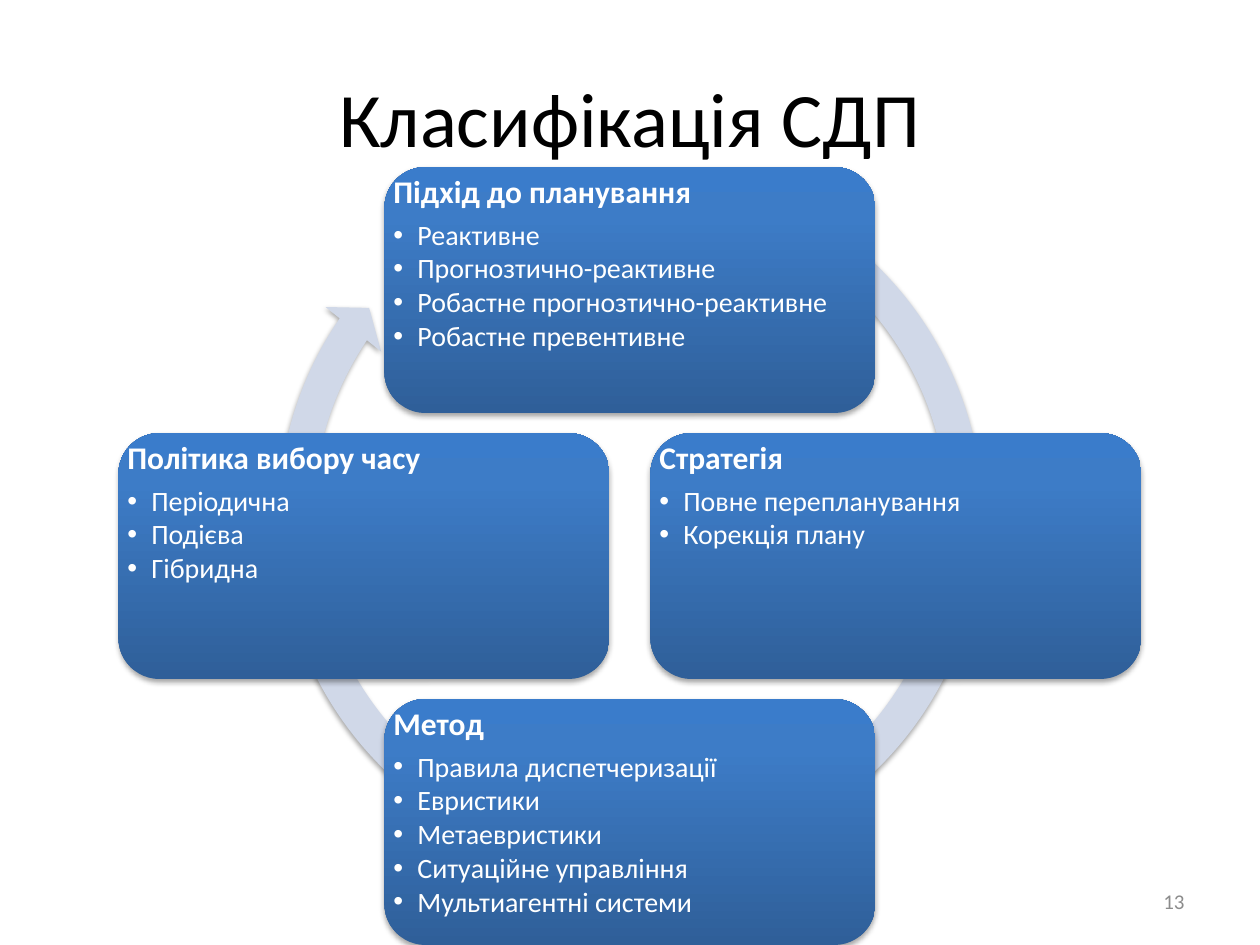
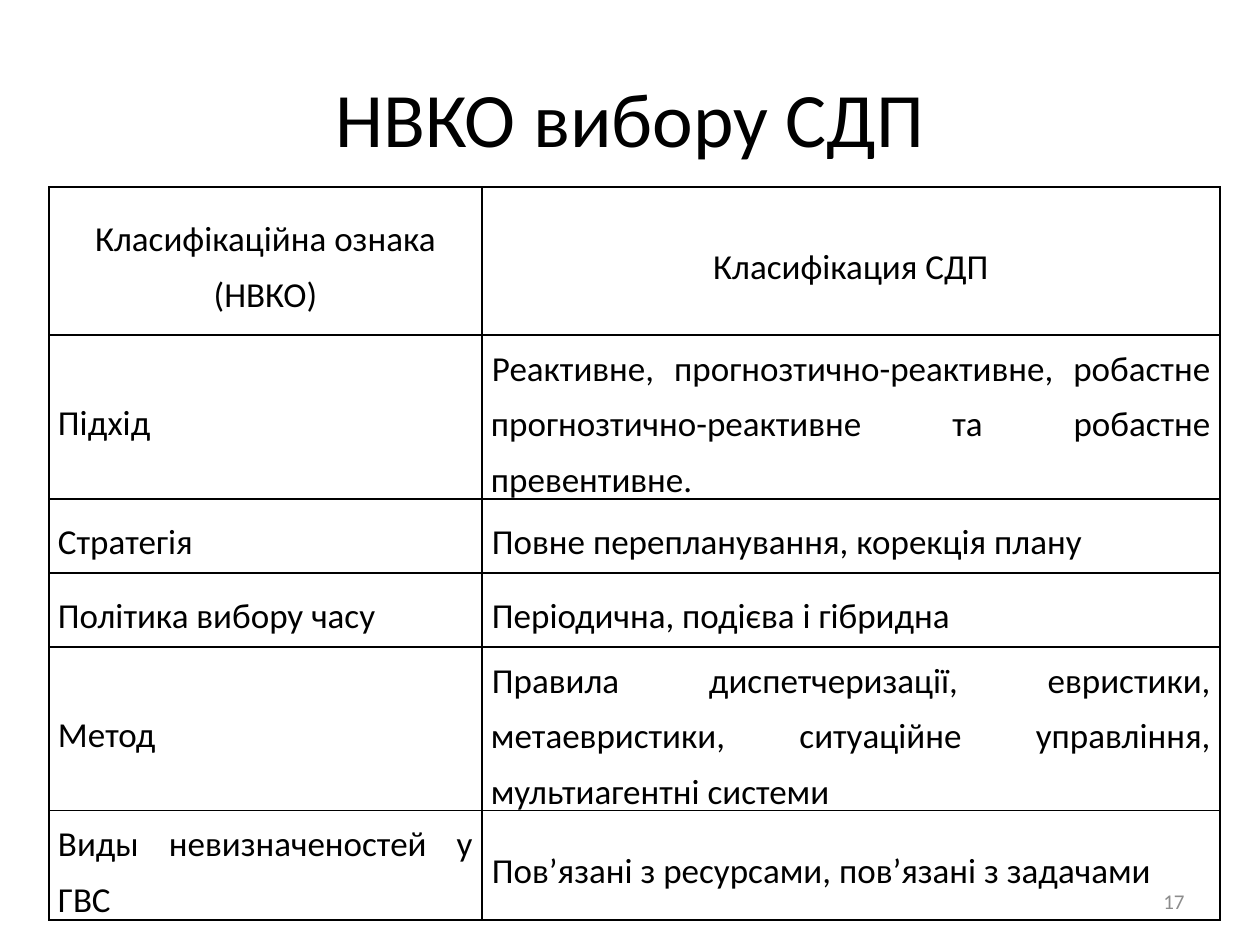
from lxml.etree import SubElement
from pptx import Presentation
from pptx.dml.color import RGBColor
from pptx.enum.shapes import MSO_SHAPE
from pptx.enum.text import MSO_ANCHOR, PP_ALIGN
from pptx.oxml.ns import qn
from pptx.util import Emu, Pt

FONT = "Calibri"
BLACK, WHITE, GREY = "000000", "FFFFFF", "8C8C8C"
RING_COLOR = "D0D8E8"
CARD_GRADIENT = [(0, "2F5F99"), (80, "3D7CC7"), (100, "3A7CCB")]

# Clockwise from the top; the direction is counted in steps from the centre.
CYCLE_TITLE, CYCLE_NUMBER = "Класифікація СДП", "13"
CYCLE = [
    ((0, -1), "Підхід до планування",
     ["Реактивне", "Прогнозтично-реактивне",
      "Робастне прогнозтично-реактивне", "Робастне превентивне"]),
    ((1, 0), "Стратегія", ["Повне перепланування", "Корекція плану"]),
    ((0, 1), "Метод",
     ["Правила диспетчеризації", "Евристики", "Метаевристики",
      "Ситуаційне управління", "Мультиагентні системи"]),
    ((-1, 0), "Політика вибору часу", ["Періодична", "Подієва", "Гібридна"]),
]
CYCLE_CENTER, CYCLE_STEP = (630, 556), 266
CARD_SIZE = (491, 246)
RING_BOX = (260, 147, 741, 741)
RING_ADJUSTMENTS = (0.047, 2.729, 128.506, 180.178, 0.048)

CRITERIA_TITLE, CRITERIA_NUMBER = "НВКО вибору СДП", "17"
CRITERIA = [
    ("Класифікаційна ознака (НВКО)", "Класифікация СДП"),
    ("Підхід", "Реактивне, прогнозтично-реактивне, робастне "
               "прогнозтично-реактивне та робастне превентивне."),
    ("Стратегія", "Повне перепланування, корекція плану"),
    ("Політика вибору часу", "Періодична, подієва і гібридна"),
    ("Метод", "Правила диспетчеризації, евристики, метаевристики, "
              "ситуаційне управління, мультиагентні системи"),
    ("Виды невизначеностей у ГВС",
     "Пов’язані з ресурсами, пов’язані з задачами"),
]
CRITERIA_ORIGIN = (49, 187)
CRITERIA_WIDTHS = (433, 738)
CRITERIA_HEIGHTS = (148, 148, 74, 74, 148, 74)

TITLE_BOX = (63, 38, 1134, 157)
NUMBER_BOX = (903, 876, 294, 50)


def px(length):
    return Emu(round(length * 914400 / 126))


def rgb(color):
    return RGBColor.from_string(color)


def write(frame, text, size, color=BLACK, bold=False, align=PP_ALIGN.LEFT,
          line_spacing=None, space_after=0, margin=0, indent=0, bullet=None):
    """Fill the empty first paragraph of a frame, or add one below."""
    paragraph = frame.add_paragraph() if frame.text else frame.paragraphs[0]
    paragraph.alignment = align
    paragraph.line_spacing = line_spacing
    paragraph.space_after = Pt(space_after)
    properties = paragraph._p.get_or_add_pPr()
    properties.set("marL", str(px(margin)))
    properties.set("indent", str(px(indent)))
    if bullet:
        SubElement(properties, qn("a:buFont"), typeface="Arial")
        SubElement(properties, qn("a:buChar"), char=bullet)
    run = paragraph.add_run()
    run.text = text
    run.font.name, run.font.size, run.font.bold = FONT, Pt(size), bold
    run.font.color.rgb = rgb(color)


def add_frame(slide, box, anchor=MSO_ANCHOR.TOP, inset=None):
    frame = slide.shapes.add_textbox(*map(px, box)).text_frame
    frame.word_wrap = True
    frame.vertical_anchor = anchor
    if inset is not None:
        frame.margin_left = frame.margin_right = px(inset)
        frame.margin_top = frame.margin_bottom = px(inset)
    return frame


def add_titled_slide(deck, title):
    slide = deck.slides.add_slide(deck.slide_layouts[6])
    write(add_frame(slide, TITLE_BOX, MSO_ANCHOR.MIDDLE), title, 44,
          align=PP_ALIGN.CENTER)
    return slide


def add_number(slide, number):
    write(add_frame(slide, NUMBER_BOX, MSO_ANCHOR.MIDDLE), number, 12,
          color=GREY, align=PP_ALIGN.RIGHT)


def add_shadowed(slide, preset, box):
    """Add a shape without outline that casts a soft shadow downwards."""
    shape = slide.shapes.add_shape(preset, *map(px, box))
    shape.line.fill.background()
    shape.shadow.inherit = False
    effects = shape._element.spPr.find(qn("a:effectLst"))
    shadow = SubElement(effects, qn("a:outerShdw"), blurRad=str(Pt(3.1)),
                        dist=str(Pt(1.8)), dir="5400000", rotWithShape="0")
    tint = SubElement(shadow, qn("a:srgbClr"), val=BLACK)
    SubElement(tint, qn("a:alpha"), val="35000")
    return shape


def fill_upwards(shape, stops):
    """Fill with a gradient whose first stop lies at the bottom."""
    shape.fill.gradient()
    shape.fill.gradient_angle = 90
    stop_list = next(shape._element.spPr.iter(qn("a:gsLst")))
    stop_list.clear()
    for percent, color in stops:
        stop = SubElement(stop_list, qn("a:gs"), pos=str(percent * 1000))
        SubElement(stop, qn("a:srgbClr"), val=color)


def add_card(slide, direction, heading, items):
    left, top = (center + CYCLE_STEP * step - size / 2 for center, step, size
                 in zip(CYCLE_CENTER, direction, CARD_SIZE))
    box = (left, top, *CARD_SIZE)
    fill_upwards(add_shadowed(slide, MSO_SHAPE.ROUNDED_RECTANGLE, box),
                 CARD_GRADIENT)
    frame = add_frame(slide, box, inset=9)
    write(frame, heading, 18, color=WHITE, bold=True, line_spacing=0.9,
          space_after=6.3)
    for item in items:
        write(frame, item, 16, color=WHITE, line_spacing=0.9, space_after=2,
              margin=24, indent=-24, bullet="•")


def add_cycle_slide(deck):
    slide = add_titled_slide(deck, CYCLE_TITLE)
    ring = add_shadowed(slide, MSO_SHAPE.CIRCULAR_ARROW, RING_BOX)
    ring.fill.solid()
    ring.fill.fore_color.rgb = rgb(RING_COLOR)
    for index, value in enumerate(RING_ADJUSTMENTS):
        ring.adjustments[index] = value
    for direction, heading, items in CYCLE:
        add_card(slide, direction, heading, items)
    add_number(slide, CYCLE_NUMBER)


def add_borders(cell):
    properties = cell._tc.get_or_add_tcPr()
    for index, side in enumerate(("a:lnL", "a:lnR", "a:lnT", "a:lnB")):
        border = properties.makeelement(qn(side), {"w": str(Pt(1))})
        fill = SubElement(border, qn("a:solidFill"))
        SubElement(fill, qn("a:srgbClr"), val=BLACK)
        properties.insert(index, border)


def add_criteria_slide(deck):
    slide = add_titled_slide(deck, CRITERIA_TITLE)
    size = (sum(CRITERIA_WIDTHS), sum(CRITERIA_HEIGHTS))
    table = slide.shapes.add_table(
        len(CRITERIA), len(CRITERIA_WIDTHS),
        *map(px, CRITERIA_ORIGIN + size)).table
    table.first_row = table.horz_banding = False
    for column, width in zip(table.columns, CRITERIA_WIDTHS):
        column.width = px(width)
    for row, height in zip(table.rows, CRITERIA_HEIGHTS):
        row.height = px(height)
    for row_index, texts in enumerate(CRITERIA):
        is_header = row_index == 0
        for column_index, text in enumerate(texts):
            cell = table.cell(row_index, column_index)
            cell.fill.background()
            cell.vertical_anchor = MSO_ANCHOR.MIDDLE
            cell.margin_left = cell.margin_right = px(9)
            cell.margin_top = cell.margin_bottom = 0
            add_borders(cell)
            write(cell.text_frame, text, 20, line_spacing=1.3,
                  align=PP_ALIGN.CENTER if is_header else PP_ALIGN.JUSTIFY,
                  indent=0 if is_header else column_index)
    add_number(slide, CRITERIA_NUMBER)


def main():
    deck = Presentation()
    deck.slide_width, deck.slide_height = px(1260), px(945)
    add_cycle_slide(deck)
    add_criteria_slide(deck)
    deck.save("out.pptx")


if __name__ == "__main__":
    main()
